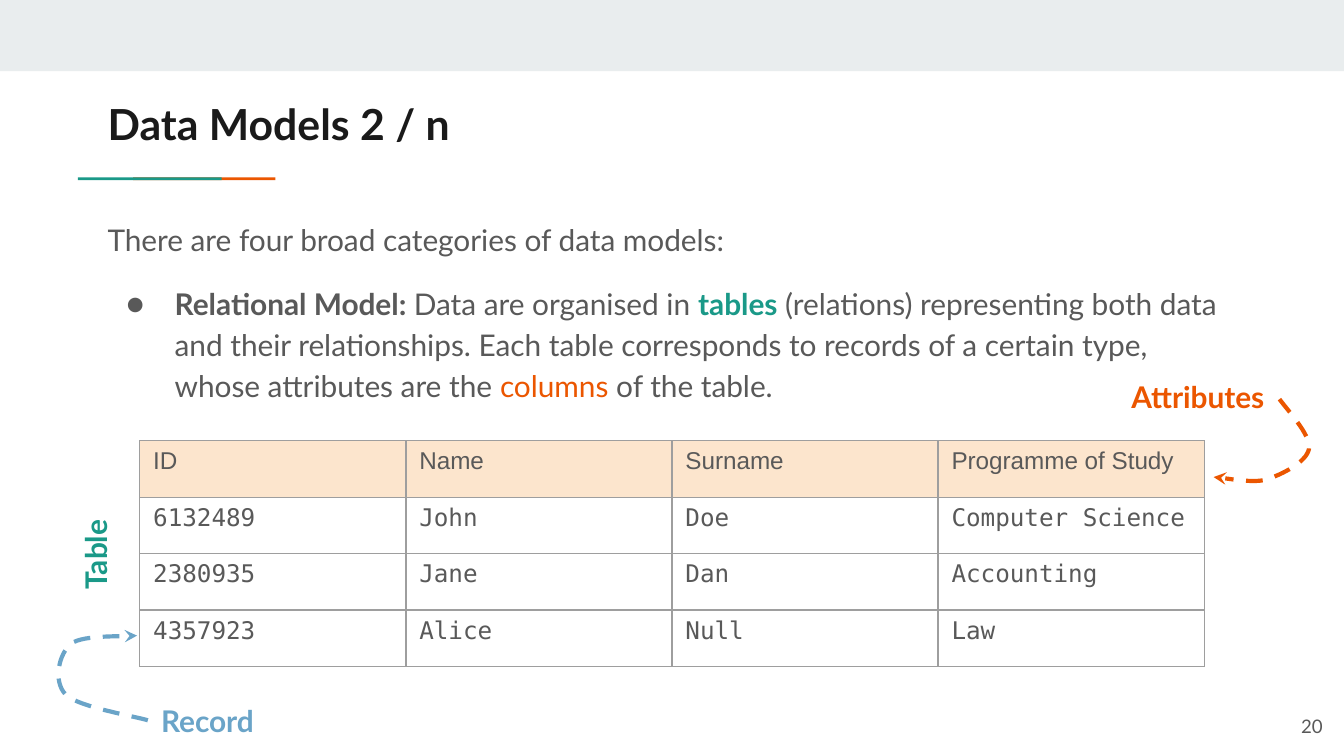
"""Build the relational model slide with its annotated student table."""
from lxml import etree
from pptx import Presentation
from pptx.dml.color import RGBColor
from pptx.enum.dml import MSO_LINE
from pptx.enum.shapes import MSO_SHAPE
from pptx.enum.text import MSO_ANCHOR, PP_ALIGN
from pptx.oxml.ns import qn
from pptx.util import Inches, Pt

RECTANGLE = MSO_SHAPE.RECTANGLE
DASH = MSO_LINE.DASH
TOP, MIDDLE = MSO_ANCHOR.TOP, MSO_ANCHOR.MIDDLE
LEFT, RIGHT = PP_ALIGN.LEFT, PP_ALIGN.RIGHT

BAND = RGBColor(0xE9, 0xED, 0xEE)
INK = RGBColor(0x1A, 0x1A, 0x1A)
GREY = RGBColor(0x59, 0x59, 0x59)
GREEN = RGBColor(0x1A, 0x99, 0x88)
ORANGE = RGBColor(0xEB, 0x56, 0x00)
BLUE = RGBColor(0x6A, 0xA4, 0xC8)
PEACH = RGBColor(0xFC, 0xE5, 0xCD)
BORDER = RGBColor(0x9E, 0x9E, 0x9E)

SLIDE_WIDTH = Inches(10)
SLIDE_HEIGHT = SLIDE_WIDTH * 9 // 16

TITLE = [("Data Models 2 / n", INK, True)]
INTRO = [("There are four broad categories of data models:", GREY, False)]
RELATIONAL = [
    ("Relational Model: ", GREY, True),
    ("Data are organised in ", GREY, False),
    ("tables", GREEN, True),
    (" (relations) representing both data and their relationships. "
     "Each table corresponds to records of a certain type, "
     "whose attributes are the ", GREY, False),
    ("columns", ORANGE, False),
    (" of the table.", GREY, False),
]
STUDENTS = [
    ("ID", "Name", "Surname", "Programme of Study"),
    ("6132489", "John", "Doe", "Computer Science"),
    ("2380935", "Jane", "Dan", "Accounting"),
    ("4357923", "Alice", "Null", "Law"),
]
BARS = [
    ((0, 0, 10, 0.53), BAND),
    ((0.99, 1.32, 1.06, 0.02), ORANGE),
    ((0.58, 1.32, 1.07, 0.02), GREEN),
]
LABELS = [
    ("Table", (0.29, 3.93, 0.74, 0.37), GREEN, 270),
    ("Record", (1.1, 5.13, 0.97, 0.36), BLUE, 0),
    ("Attributes", (8.32, 2.72, 1.26, 0.47), ORANGE, 0),
]
ARROWS = [
    (BLUE, [(1.1, 5.36), (1, 5.33), (0.58, 5.26), (0.49, 5.17),
            (0.39, 5.07), (0.44, 4.86), (0.53, 4.79),
            (0.62, 4.72), (0.94, 4.74), (1.02, 4.73)]),
    (ORANGE, [(9.52, 2.97), (9.56, 3.03), (9.76, 3.24), (9.74, 3.34),
              (9.72, 3.44), (9.54, 3.53), (9.42, 3.57),
              (9.3, 3.6), (9.09, 3.55), (9.03, 3.55)]),
]
CURVE_STEPS = 16


def add_runs(paragraph, runs, size, font="Lato"):
    for text, color, bold in runs:
        run = paragraph.add_run()
        run.text = text
        run.font.name = font
        run.font.size = Pt(size)
        run.font.bold = bold
        run.font.color.rgb = color


def add_text(slide, box, runs, size, side=0.1, anchor=TOP, align=LEFT):
    shape = slide.shapes.add_textbox(*map(Inches, box))
    frame = shape.text_frame
    frame.word_wrap = True
    frame.vertical_anchor = anchor
    frame.margin_left = frame.margin_right = Inches(side)
    frame.margin_top = frame.margin_bottom = Inches(0.1)
    frame.paragraphs[0].alignment = align
    add_runs(frame.paragraphs[0], runs, size)
    return shape


def add_bar(slide, box, color):
    bar = slide.shapes.add_shape(RECTANGLE, *map(Inches, box))
    bar.shadow.inherit = False
    bar.fill.solid()
    bar.fill.fore_color.rgb = color
    bar.line.fill.background()


def add_body(slide):
    body = add_text(slide, (0.8, 1.51, 8.41, 1.68), INTRO, 16, side=0)
    intro = body.text_frame.paragraphs[0]
    bullet = body.text_frame.add_paragraph()
    intro.line_spacing = bullet.line_spacing = 1.15
    bullet.space_before = Pt(12)
    add_runs(bullet, RELATIONAL, 16)
    properties = bullet._p.get_or_add_pPr()
    properties.set("marL", str(Inches(0.5)))
    properties.set("indent", str(Inches(-0.36)))
    bullet_color = etree.SubElement(properties, qn("a:buClr"))
    etree.SubElement(bullet_color, qn("a:srgbClr"), val=str(GREY))
    etree.SubElement(properties, qn("a:buFont"), typeface="Lato")
    etree.SubElement(properties, qn("a:buChar"), char="●")


def add_borders(cell):
    properties = cell._tc.get_or_add_tcPr()
    for side in ("a:lnL", "a:lnR", "a:lnT", "a:lnB"):
        line = etree.SubElement(properties, qn(side), w=str(Pt(0.75)))
        fill = etree.SubElement(line, qn("a:solidFill"))
        etree.SubElement(fill, qn("a:srgbClr"), val=str(BORDER))


def add_students(slide):
    box = map(Inches, (1.04, 3.28, 7.92, 1.68))
    table = slide.shapes.add_table(len(STUDENTS), len(STUDENTS[0]), *box).table
    for row, values in enumerate(STUDENTS):
        for column, value in enumerate(values):
            cell = table.cell(row, column)
            add_borders(cell)
            if row == 0:
                cell.fill.solid()
                cell.fill.fore_color.rgb = PEACH
            else:
                cell.fill.background()
            font = "Arial" if row == 0 else "DejaVu Sans Mono"
            add_runs(cell.text_frame.paragraphs[0],
                     [(value, GREY, False)], 13, font)


def curve_points(controls):
    for first in range(0, len(controls) - 1, 3):
        for step in range(1, CURVE_STEPS + 1):
            t = step / CURVE_STEPS
            weights = ((1 - t) ** 3, 3 * t * (1 - t) ** 2,
                       3 * t ** 2 * (1 - t), t ** 3)
            segment = zip(*controls[first:first + 4])
            yield tuple(Inches(sum(w * v for w, v in zip(weights, axis)))
                        for axis in segment)


def add_arrow(slide, color, controls):
    start = map(Inches, controls[0])
    builder = slide.shapes.build_freeform(*start)
    builder.add_line_segments(curve_points(controls), close=False)
    arrow = builder.convert_to_shape()
    arrow.shadow.inherit = False
    arrow.fill.background()
    arrow.line.color.rgb = color
    arrow.line.width = Pt(2.25)
    arrow.line.dash_style = DASH
    etree.SubElement(arrow.line._get_or_add_ln(), qn("a:tailEnd"),
                     type="stealth")


def main():
    presentation = Presentation()
    presentation.slide_width = SLIDE_WIDTH
    presentation.slide_height = SLIDE_HEIGHT
    slide = presentation.slides.add_slide(presentation.slide_layouts[6])
    for box, color in BARS:
        add_bar(slide, box, color)
    add_text(slide, (0.8, 0.63, 8.41, 0.59), TITLE, 22.9, side=0)
    add_body(slide)
    add_students(slide)
    for text, box, color, rotation in LABELS:
        add_text(slide, box, [(text, color, True)], 16).rotation = rotation
    for color, controls in ARROWS:
        add_arrow(slide, color, controls)
    add_text(slide, (9.34, 5.19, 0.6, 0.43), [("20", GREY, False)], 10,
             anchor=MIDDLE, align=RIGHT)
    presentation.save("out.pptx")


if __name__ == "__main__":
    main()
